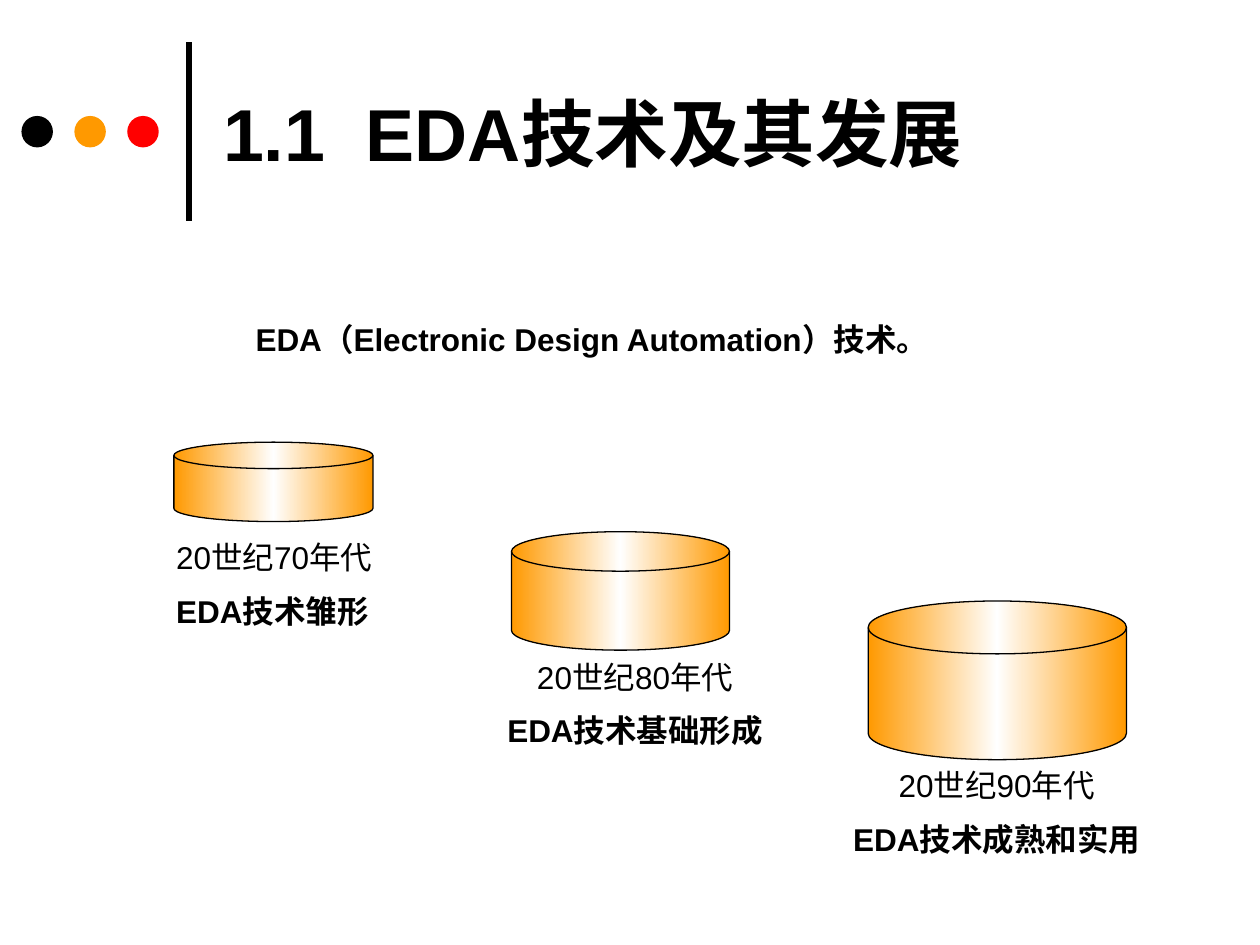
import copy

import lxml.etree
import pptx
import pptx.dml.color
import pptx.enum.shapes
import pptx.enum.text
import pptx.oxml.ns
import pptx.util
from pptx.util import Inches

BLACK = pptx.dml.color.RGBColor(0x00, 0x00, 0x00)
WHITE = pptx.dml.color.RGBColor(0xFF, 0xFF, 0xFF)
ORANGE = pptx.dml.color.RGBColor(0xFF, 0x99, 0x00)
RED = pptx.dml.color.RGBColor(0xFF, 0x00, 0x00)
SHAPES = pptx.enum.shapes.MSO_SHAPE
ALIGN = pptx.enum.text.PP_ALIGN
AUTO_SIZE = pptx.enum.text.MSO_AUTO_SIZE
qn = pptx.oxml.ns.qn


def format_paragraph(paragraph, size, bold, alignment):
    paragraph.alignment = alignment
    for run in paragraph.runs:
        run.font.name = "Arial"
        run.font.size = pptx.util.Pt(size)
        run.font.bold = bold
        run.font.color.rgb = BLACK


def add_text(shapes, box, lines, alignment):
    shape = shapes.add_textbox(*map(Inches, box))
    text_frame = shape.text_frame
    text_frame.word_wrap = True
    text_frame.auto_size = AUTO_SIZE.SHAPE_TO_FIT_TEXT
    text_frame.text = "\n".join(text for text, bold in lines)
    for index, (text, bold) in enumerate(lines):
        paragraph = text_frame.paragraphs[index]
        format_paragraph(paragraph, 18, bold, alignment)
        if index:
            paragraph.space_before = pptx.util.Pt(9)


presentation = pptx.Presentation()
presentation.slide_width = Inches(10)
presentation.slide_height = Inches(7.5)
slide = presentation.slides.add_slide(presentation.slide_layouts[5])
slide.background.fill.solid()
slide.background.fill.fore_color.rgb = WHITE

divider = slide.shapes.add_connector(
    pptx.enum.shapes.MSO_CONNECTOR.STRAIGHT,
    Inches(1.5), Inches(1.75), Inches(1.5), Inches(0.33))
divider.line.color.rgb = BLACK
divider.line.width = pptx.util.Pt(3)
lxml.etree.SubElement(divider._element.spPr, qn("a:effectLst"))

for index, color in enumerate([BLACK, ORANGE, RED]):
    dot = slide.shapes.add_shape(
        SHAPES.OVAL, Inches(0.17 + 0.42 * index), Inches(0.92), Inches(0.25), Inches(0.25))
    dot.shadow.inherit = False
    dot.fill.solid()
    dot.fill.fore_color.rgb = color
    dot.line.fill.background()

title = slide.shapes.title
title.left, title.top, title.width, title.height = map(Inches, (1.67, 0.21, 7.67, 1.67))
title.text_frame.text = "1.1  EDA技术及其发展"
title.text_frame.auto_size = AUTO_SIZE.NONE
title.text_frame.vertical_anchor = pptx.enum.text.MSO_ANCHOR.MIDDLE
format_paragraph(title.text_frame.paragraphs[0], 42, True, ALIGN.LEFT)

stages = [
    ("20世纪70年代", "EDA技术雏形", ALIGN.LEFT,
     (1.38, 3.51, 1.58, 0.63), (1.3, 4.22, 1.81, 0.85)),
    ("20世纪80年代", "EDA技术基础形成", ALIGN.CENTER,
     (4.06, 4.22, 1.73, 0.94), (3.82, 5.17, 2.44, 0.85)),
    ("20世纪90年代", "EDA技术成熟和实用", ALIGN.CENTER,
     (6.89, 4.77, 2.05, 1.26), (6.57, 6.03, 2.68, 0.85)),
]
for decade, milestone, alignment, disk_box, text_box in stages:
    group = slide.shapes.add_group_shape()
    disk = group.shapes.add_shape(SHAPES.FLOWCHART_MAGNETIC_DISK, *map(Inches, disk_box))
    disk.shadow.inherit = False
    disk.line.color.rgb = BLACK
    disk.line.width = pptx.util.Pt(0.75)
    disk.fill.gradient()
    disk.fill.gradient_angle = 0
    stop_list = disk._element.spPr.find(qn("a:gradFill")).find(qn("a:gsLst"))
    stop_list.append(copy.deepcopy(stop_list[0]))
    for stop, position, color in zip(
            disk.fill.gradient_stops, (0, 0.5, 1), (ORANGE, WHITE, ORANGE)):
        stop.position = position
        stop.color.rgb = color
    add_text(group.shapes, text_box, [(decade, False), (milestone, True)], alignment)

add_text(slide.shapes, (1.93, 2.49, 6.14, 0.4),
         [("EDA（Electronic Design Automation）技术。", True)], ALIGN.LEFT)

presentation.save("out.pptx")
